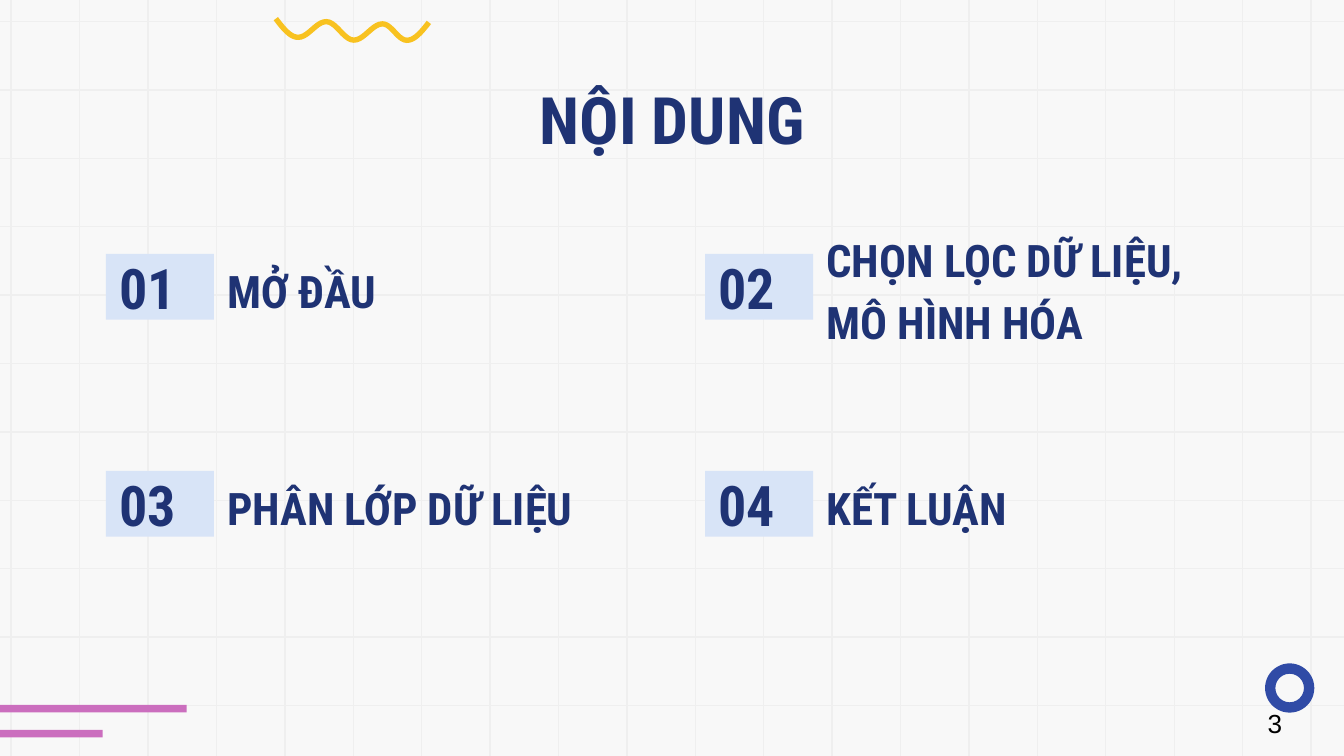
from math import cos, hypot, pi, sin

from lxml import etree
from pptx import Presentation
from pptx.dml.color import RGBColor
from pptx.enum.shapes import MSO_CONNECTOR as LINE, MSO_SHAPE as SHAPE
from pptx.enum.text import MSO_ANCHOR as ANCHOR, PP_ALIGN as ALIGN
from pptx.oxml.ns import qn
from pptx.util import Pt

PAPER = RGBColor(0xF8, 0xF8, 0xF8)
GRID = RGBColor(0xEF, 0xEF, 0xEF)
NAVY = RGBColor(0x1F, 0x33, 0x74)
BLUE = RGBColor(0x30, 0x4B, 0xA6)
PALE_BLUE = RGBColor(0xD8, 0xE4, 0xF7)
PINK = RGBColor(0xCB, 0x6E, 0xBE)
YELLOW = RGBColor(0xF8, 0xC2, 0x20)
BLACK = RGBColor(0, 0, 0)
WIDTH, HEIGHT = 720, 405

deck = Presentation()
deck.slide_width, deck.slide_height = Pt(WIDTH), Pt(HEIGHT)
page = deck.slides.add_slide(deck.slide_layouts[6])
page.background.fill.solid()
page.background.fill.fore_color.rgb = PAPER


def paint(shape, color):
    shape.shadow.inherit = False
    shape.fill.solid()
    shape.fill.fore_color.rgb = color
    shape.line.fill.background()


def add_text(text, left, top, width, height, size=24, color=NAVY,
             font="Roboto Condensed", bold=True, align=ALIGN.LEFT,
             anchor=ANCHOR.MIDDLE, spacing=1.0, fill=None):
    frame = Pt(left), Pt(top), Pt(width), Pt(height)
    if fill is None:
        box = page.shapes.add_textbox(*frame)
    else:
        box = page.shapes.add_shape(SHAPE.RECTANGLE, *frame)
        paint(box, fill)
    body = box.text_frame
    body.word_wrap = True
    body.vertical_anchor = anchor
    body.margin_left = body.margin_right = Pt(7.2)
    body.margin_top = body.margin_bottom = Pt(7.2)
    para = body.paragraphs[0]
    para.alignment = align
    para.line_spacing = spacing
    span = para.add_run()
    span.text = text
    span.font.name = font
    span.font.size = Pt(size)
    span.font.bold = bold
    span.font.color.rgb = color


rows = [(WIDTH, 11.5 + 36.65 * i, 0, 11.5 + 36.65 * i) for i in range(11)]
columns = [(6 + 36.65 * i, -13, 6 + 36.65 * i, 418) for i in range(20)]
for ends in rows + columns:
    grid_line = page.shapes.add_connector(LINE.STRAIGHT, *[Pt(n) for n in ends])
    grid_line.line.color.rgb = GRID
    grid_line.line.width = Pt(0.75)
    etree.SubElement(grid_line._element.spPr, qn("a:effectLst"))

for top, width in [(377.7, 100), (391, 55)]:
    stripe = page.shapes.add_shape(SHAPE.RECTANGLE, 0, Pt(top), Pt(width), Pt(4))
    paint(stripe, PINK)

ring = page.shapes.add_shape(SHAPE.DONUT, Pt(677.7), Pt(355.4), Pt(26.4), Pt(26.4))
ring.adjustments[0] = 0.21
paint(ring, BLUE)

turns = [(147.8, 10), (159.8, 20), (174.8, 11.6), (189.6, 21.5),
         (205, 12.8), (218, 21.6), (229.8, 12)]
STEPS, HALF_STROKE = 10, 1.45
curve = []
for leg, ((x1, y1), (x2, y2)) in enumerate(zip(turns, turns[1:])):
    for step in range(STEPS):
        t = step / STEPS
        if leg == 0:
            ease = sin(t * pi / 2)
        elif leg == len(turns) - 2:
            ease = 1 - cos(t * pi / 2)
        else:
            ease = (1 - cos(t * pi)) / 2
        curve.append((x1 + (x2 - x1) * t, y1 + (y2 - y1) * ease))
curve.append(turns[-1])

upper, lower = [], []
for i, (x, y) in enumerate(curve):
    before, after = curve[max(i - 1, 0)], curve[min(i + 1, len(curve) - 1)]
    dx, dy = after[0] - before[0], after[1] - before[1]
    scale = HALF_STROKE / hypot(dx, dy)
    upper.append((Pt(x + dy * scale), Pt(y - dx * scale)))
    lower.append((Pt(x - dy * scale), Pt(y + dx * scale)))
outline = upper + lower[::-1]
builder = page.shapes.build_freeform(*outline[0])
builder.add_line_segments(outline[1:], close=True)
paint(builder.convert_to_shape(), YELLOW)

add_text("NỘI DUNG", 56.7, 35.1, 607, 45.4, size=35,
         align=ALIGN.CENTER, anchor=ANCHOR.TOP)

topics = ["MỞ ĐẦU", "CHỌN LỌC DỮ LIỆU, MÔ HÌNH HÓA",
          "PHÂN LỚP DỮ LIỆU", "KẾT LUẬN"]
for i, topic in enumerate(topics):
    left, top = 56.7 + 321 * (i % 2), 136 + 116.2 * (i // 2)
    add_text(f"{i + 1:02}", left, top, 57.9, 35.3, size=30, fill=PALE_BLUE)
    add_text(topic, left + 57.9, top, 227.5, 35.3, spacing=1.15)

add_text("3", 672, 376.6, 162, 21.6, size=14, color=BLACK, font="Arial", bold=False)

deck.save("out.pptx")
